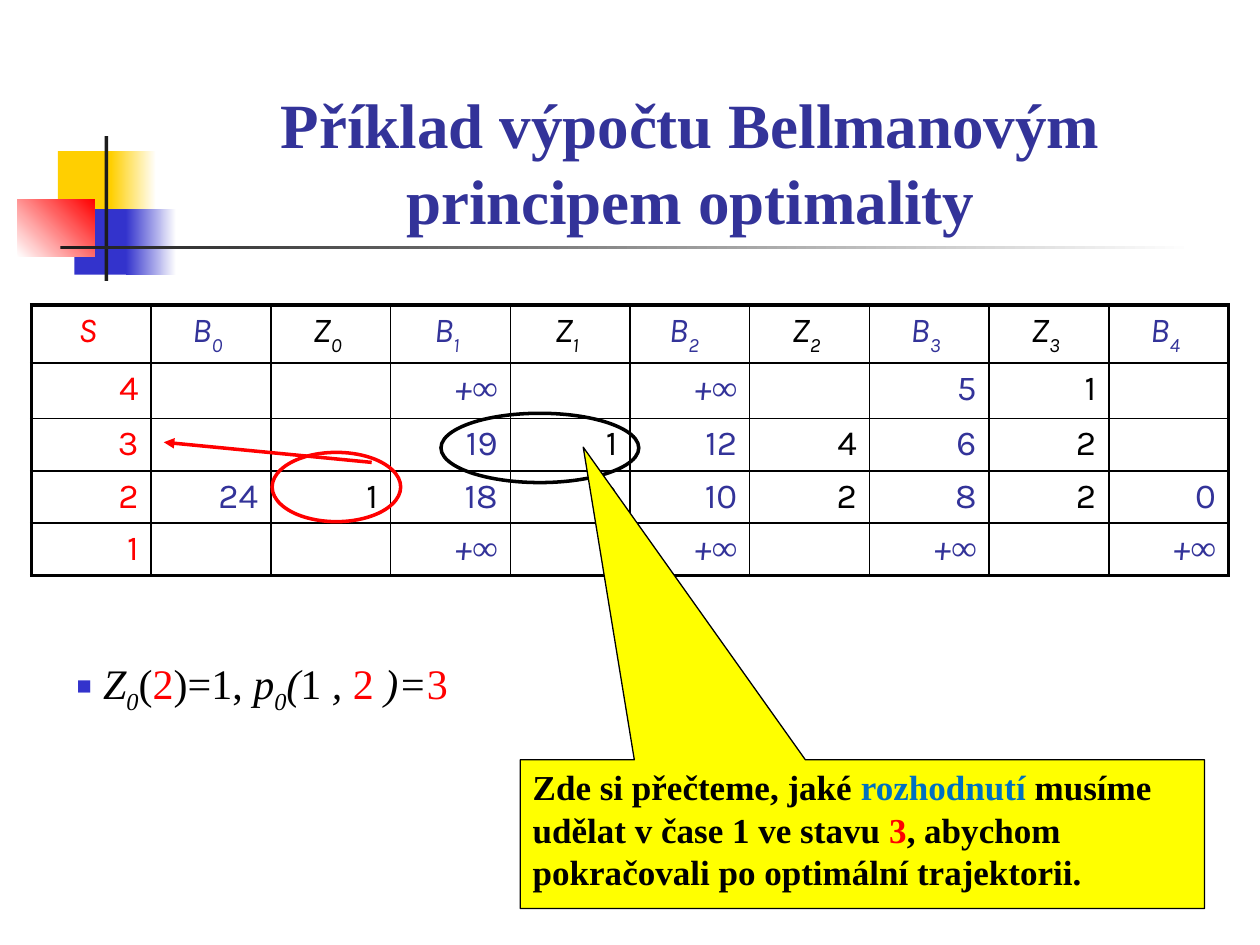
from dataclasses import dataclass
from typing import NamedTuple, Optional

from lxml.etree import SubElement
from pptx import Presentation
from pptx.dml.color import RGBColor
from pptx.enum.shapes import MSO_CONNECTOR as CONNECTOR, MSO_SHAPE as SHAPE
from pptx.enum.text import MSO_ANCHOR as ANCHOR, PP_ALIGN as ALIGN
from pptx.oxml import parse_xml
from pptx.oxml.ns import nsdecls, qn
from pptx.util import Inches, Pt


@dataclass(frozen=True)
class Theme:
    serif: str = "Times New Roman"
    sans: str = "Karla"
    title_size: int = 36
    formula_size: int = 24
    body_size: int = 20
    black: str = "000000"
    white: str = "FFFFFF"
    red: str = "FF0000"
    navy: str = "333399"
    blue: str = "3333CC"
    gold: str = "FFCF01"
    dark: str = "1C1C1C"
    yellow: str = "FFFF00"
    accent: str = "0070C0"


class Run(NamedTuple):
    text: str
    color: str
    italic: bool = False
    base: int = 0
    font: Optional[str] = None


class Block(NamedTuple):
    left: float
    top: float
    width: float
    height: float
    start: str
    end: Optional[str] = None
    angle: int = 0


class Oval(NamedTuple):
    left: float
    top: float
    width: float
    height: float
    color: str


T = Theme()
WIDTH, HEIGHT = 10, 7.5
COLUMN, TABLE_LEFT, TABLE_TOP = 0.95, 0.25, 2.42
ROWS = [0.46, 0.44, 0.41, 0.41, 0.41]
THIN, THICK = 1, 2.25

BLOCKS = [
    Block(0.46, 1.2, 0.48, 0.52, T.gold),
    Block(0.88, 1.2, 0.36, 0.52, T.gold, T.white),
    Block(0.59, 1.66, 0.46, 0.52, T.blue),
    Block(1, 1.66, 0.4, 0.52, T.blue, T.white),
    Block(0.14, 1.58, 0.61, 0.46, T.white, T.red, 45),
    Block(0.83, 1.08, 0.03, 1.15, T.dark),
    Block(0.48, 1.95, 9, 0.03, T.dark, T.white),
]
HEADERS = ["S", "B0", "Z0", "B1", "Z1", "B2 ", "Z2", "B3", "Z3", "B4"]
VALUES = [
    ["4", "", "", "+∞", "", "+∞", "", "5", "1", ""],
    ["3", "", "", "19", "1", "12", "4", "6", "2", ""],
    ["2", "24", "1", "18", "2", "10", "2", "8", "2", "0"],
    ["1", "", "", "+∞", "", "+∞", "", "+∞", "", "+∞"],
]
COLUMN_COLORS = {"S": T.red, "B": T.navy, "Z": T.black}
FORMULA = [
    Run("Z", T.black, True), Run("0", T.black, True, -25), Run("(", T.black),
    Run("2", T.red), Run(")=1, ", T.black), Run("p", T.black, True),
    Run("0", T.black, True, -25), Run("(", T.black, True), Run("1", T.black),
    Run(" , ", T.black, True), Run("2", T.red), Run(" )=", T.black, True),
    Run("3", T.red),
]
ADVICE = [
    Run("Zde si přečteme, jaké ", T.black), Run("rozhodnutí ", T.accent),
    Run("musíme udělat v čase 1 ve stavu ", T.black), Run("3", T.red),
    Run(", abychom pokračovali po optimální trajektorii.", T.black),
]


def rgb(color: str) -> RGBColor:
    return RGBColor.from_string(color)


def write(tf, runs: list[Run], *, size: float, font: str = T.serif, bold: bool = False,
          align=ALIGN.LEFT, before: float = 0, anchor=ANCHOR.TOP):
    tf.word_wrap = True
    tf.vertical_anchor = anchor
    p = tf.paragraphs[0]
    p.alignment = align
    p.space_before = Pt(before)
    p.font.size = Pt(size)
    for run in runs:
        r = p.add_run()
        r.text = run.text
        r.font.name = run.font or font
        r.font.size = Pt(size)
        r.font.bold = bold
        r.font.italic = run.italic
        r.font.color.rgb = rgb(run.color)
        if run.base:
            r._r.get_or_add_rPr().set("baseline", str(run.base * 1000))
    return p


def add_shape(s, kind, box, *, fill: Optional[str] = None, line: Optional[str] = None,
              weight: float = 1):
    sp = s.shapes.add_shape(kind, *map(Inches, box))
    sp.shadow.inherit = False
    if fill:
        sp.fill.solid()
        sp.fill.fore_color.rgb = rgb(fill)
    else:
        sp.fill.background()
    if line:
        sp.line.color.rgb = rgb(line)
        sp.line.width = Pt(weight)
    else:
        sp.line.fill.background()
    return sp


def add_block(s, block: Block) -> None:
    sp = add_shape(s, SHAPE.RECTANGLE, block[:4], fill=block.start)
    if block.end:
        sp.fill.gradient()
        sp.fill.gradient_angle = block.angle
        for stop, color in zip(sp.fill.gradient_stops, (block.start, block.end)):
            stop.color.rgb = rgb(color)


def set_borders(cell, widths: dict[str, float]) -> None:
    props = cell._tc.get_or_add_tcPr()
    for i, (side, width) in enumerate(widths.items()):
        props.insert(i, parse_xml(
            f'<a:ln{side} {nsdecls("a")} w="{Pt(width)}"><a:solidFill>'
            f'<a:srgbClr val="{T.black}"/></a:solidFill></a:ln{side}>'))


def cell_runs(text: str, color: str, header: bool) -> list[Run]:
    if header:
        parts = [Run(text[0], color, True)]
        return parts + ([Run(text[1:], color, True, -30)] if text[1:] else [])
    if text == "+∞":
        return [Run("+", color, True), Run("∞", color, True, font=T.serif)]
    return [Run(text, color)] if text else []


def add_values(s) -> None:
    data = [HEADERS, *VALUES]
    last_row, last_col = len(data) - 1, len(HEADERS) - 1
    frame = s.shapes.add_table(len(data), len(HEADERS), Inches(TABLE_LEFT), Inches(TABLE_TOP),
                               Inches(COLUMN * len(HEADERS)), Inches(sum(ROWS)))
    table = frame.table
    table.first_row = table.horz_banding = False
    for column in table.columns:
        column.width = Inches(COLUMN)
    for i, row in enumerate(data):
        table.rows[i].height = Inches(ROWS[i])
        for j, text in enumerate(row):
            cell = table.cell(i, j)
            cell.fill.background()
            cell.margin_left = cell.margin_top = cell.margin_bottom = Inches(0.04)
            cell.margin_right = Inches(0.1)
            write(cell.text_frame, cell_runs(text, COLUMN_COLORS[HEADERS[j][0]], i == 0),
                  size=T.body_size, font=T.sans, before=T.body_size * 0.2,
                  align=ALIGN.RIGHT if i else ALIGN.CENTER)
            set_borders(cell, {"L": THIN if j else THICK,
                               "R": THICK if j == last_col else THIN,
                               "T": THIN if i else THICK,
                               "B": THICK if i == last_row else THIN})


def add_arrow(s, start, end, color: str) -> None:
    arrow = s.shapes.add_connector(CONNECTOR.STRAIGHT, *map(Inches, (*start, *end)))
    arrow.line.color.rgb = rgb(color)
    arrow.line.width = Pt(2)
    SubElement(arrow.line._get_or_add_ln(), qn("a:tailEnd"), type="triangle")
    SubElement(arrow._element.spPr, qn("a:effectLst"))


def add_formula(s) -> None:
    tf = s.shapes.add_textbox(*map(Inches, (0.51, 5.17, 3.39, 0.71))).text_frame
    p = write(tf, FORMULA, size=T.formula_size, before=T.formula_size * 0.2)
    props = p._p.get_or_add_pPr()
    props.set("marL", str(Inches(0.21)))
    props.set("indent", str(-Inches(0.21)))
    SubElement(SubElement(props, qn("a:buClr")), qn("a:srgbClr"), val=T.blue)
    SubElement(props, qn("a:buSzPct"), val="60000")
    SubElement(props, qn("a:buFont"), typeface=T.serif)
    SubElement(props, qn("a:buChar"), char="■")


def add_oval(s, oval: Oval) -> None:
    add_shape(s, SHAPE.OVAL, oval[:4], line=oval.color, weight=2)


prs = Presentation()
prs.slide_width, prs.slide_height = Inches(WIDTH), Inches(HEIGHT)
s = prs.slides.add_slide(prs.slide_layouts[5])
for block in BLOCKS:
    add_block(s, block)
title = s.shapes.title
title.left, title.top, title.width, title.height = map(Inches, (1.22, 0.68, 8.52, 1.25))
write(title.text_frame, [Run("Příklad výpočtu Bellmanovým principem optimality", T.navy)],
      size=T.title_size, bold=True, align=ALIGN.CENTER, anchor=ANCHOR.BOTTOM)
add_values(s)
add_oval(s, Oval(2.16, 3.59, 1.02, 0.55, T.red))
add_arrow(s, (2.95, 3.67), (1.3, 3.51), T.red)
add_formula(s)
add_oval(s, Oval(3.5, 3.28, 1.57, 0.55, T.black))
callout = add_shape(s, SHAPE.RECTANGULAR_CALLOUT, (4.13, 6.03, 5.43, 1.18),
                    fill=T.yellow, line=T.black, weight=0.75)
callout.adjustments[0], callout.adjustments[1] = -0.408, -2.603
write(callout.text_frame, ADVICE, size=T.body_size, bold=True)
prs.save("out.pptx")
